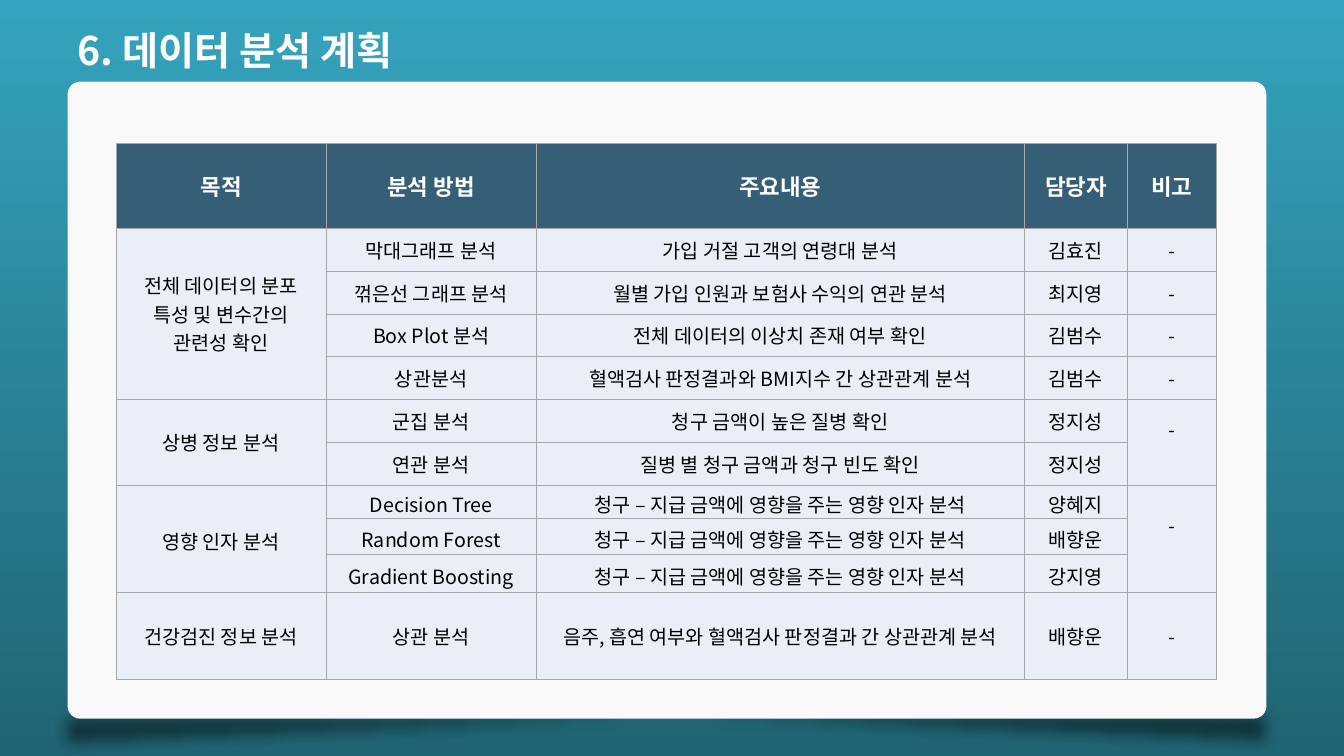
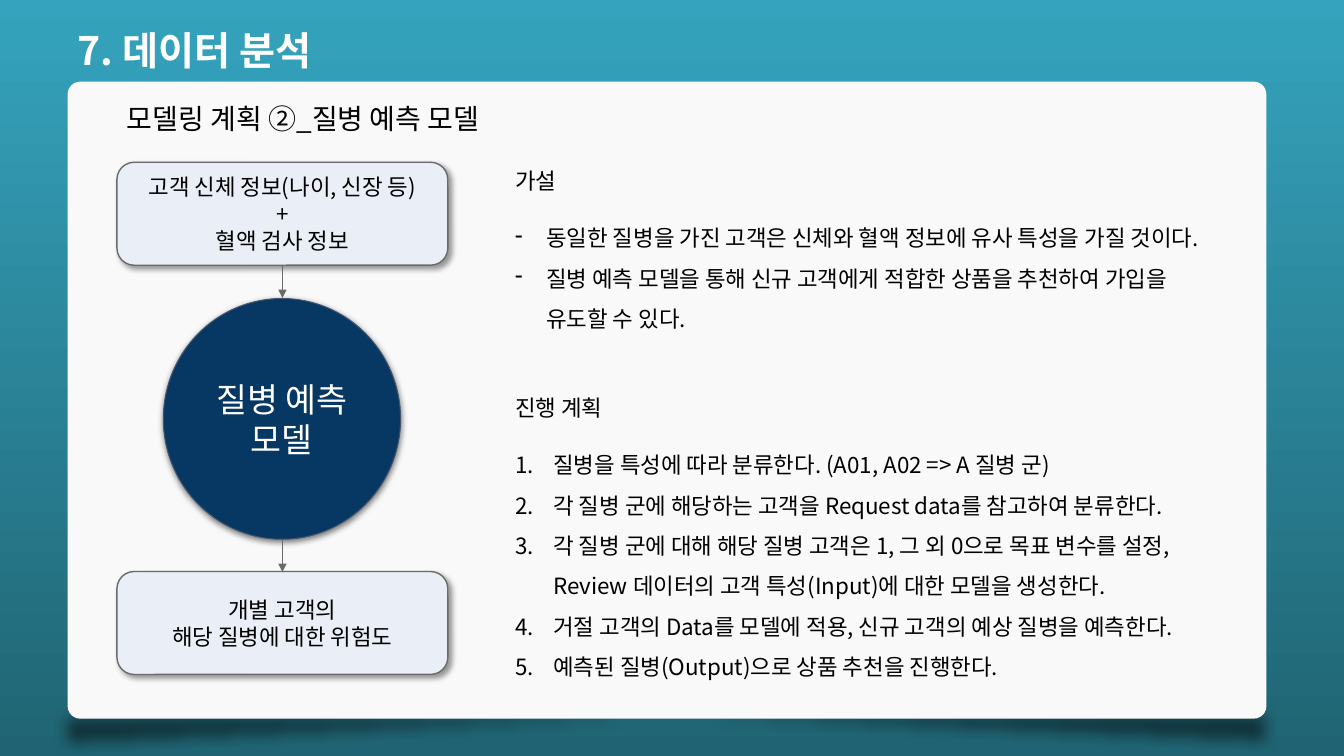
import dataclasses

import lxml.etree
import pptx
import pptx.dml.color
import pptx.enum.shapes
import pptx.enum.text
import pptx.oxml.ns
import pptx.util

Pt = pptx.util.Pt
Kind = pptx.enum.shapes.MSO_SHAPE
Align = pptx.enum.text.PP_ALIGN
Anchor = pptx.enum.text.MSO_ANCHOR
qn = pptx.oxml.ns.qn


@dataclasses.dataclass(frozen=True)
class Theme:
    font: str = "Noto Sans CJK KR"
    top: str = "35A3BD"
    base: str = "206473"
    panel: str = "F9F9F9"
    head: str = "355F77"
    pale: str = "EAEFF7"
    navy: str = "073763"
    rim: str = "44546A"
    edge: str = "6A6A6A"
    grid: str = "A6A6A6"
    white: str = "FFFFFF"
    black: str = "000000"
    title: int = 28
    hub: int = 24
    lead: int = 20
    body: int = 16
    cell: int = 14
    tight: float = 1.2
    loose: float = 1.45
    wide: float = 1.8


T = Theme()


@dataclasses.dataclass(frozen=True)
class Box:
    x: float
    y: float
    w: float
    h: float

    def sub(self, x, y, w, h):
        """Give an inner box from percentages of this one."""
        return Box(self.x + self.w * x / 100, self.y + self.h * y / 100,
                   self.w * w / 100, self.h * h / 100)

    def emu(self):
        return [pptx.util.Inches(v) for v in (self.x, self.y, self.w, self.h)]


PAGE = Box(0, 0, 13.33, 7.5)
PANEL = PAGE.sub(5.03, 10.8, 89.2, 84.27)

HEADS = ["목적", "분석 방법", "주요내용", "담당자", "비고"]
CAUSE = "청구 – 지급 금액에 영향을 주는 영향 인자 분석"
GROUPS = [
    ("전체 데이터의 분포 특성 및 변수간의 관련성 확인", False, [
        ("막대그래프 분석", "가입 거절 고객의 연령대 분석", "김효진"),
        ("꺾은선 그래프 분석", "월별 가입 인원과 보험사 수익의 연관 분석", "최지영"),
        ("Box Plot 분석", "전체 데이터의 이상치 존재 여부 확인", "김범수"),
        ("상관분석", "혈액검사 판정결과와 BMI지수 간 상관관계 분석", "김범수")]),
    ("상병 정보 분석", True, [
        ("군집 분석", "청구 금액이 높은 질병 확인", "정지성"),
        ("연관 분석", "질병 별 청구 금액과 청구 빈도 확인", "정지성")]),
    ("영향 인자 분석", True, [
        ("Decision Tree", CAUSE, "양혜지"),
        ("Random Forest", CAUSE, "배향운"),
        ("Gradient Boosting", CAUSE, "강지영")]),
    ("건강검진 정보 분석", False, [
        ("상관 분석", "음주, 흡연 여부와 혈액검사 판정결과 간 상관관계 분석", "배향운")]),
]
COLS = [210, 210, 488, 103, 89]
ROWS = [85] + [42.7] * 6 + [32, 36, 38, 86]

GUESS = [
    "동일한 질병을 가진 고객은 신체와 혈액 정보에 유사 특성을 가질 것이다.",
    "질병 예측 모델을 통해 신규 고객에게 적합한 상품을 추천하여 가입을 유도할 수 있다."]
STEPS = [
    "질병을 특성에 따라 분류한다. (A01, A02 => A 질병 군)",
    "각 질병 군에 해당하는 고객을 Request data를 참고하여 분류한다.",
    "각 질병 군에 대해 해당 질병 고객은 1, 그 외 0으로 목표 변수를 설정, "
    "Review 데이터의 고객 특성(Input)에 대한 모델을 생성한다.",
    "거절 고객의 Data를 모델에 적용, 신규 고객의 예상 질병을 예측한다.",
    "예측된 질병(Output)으로 상품 추천을 진행한다."]


def rgb(code):
    return pptx.dml.color.RGBColor.from_string(code)


def node(root, tag, **attrs):
    item = lxml.etree.SubElement(root, qn(tag))
    for key, val in attrs.items():
        item.set(key, str(val))
    return item


def paint(item, color):
    item.fill.solid()
    item.fill.fore_color.rgb = rgb(color)


def write(frame, lines, size, color=T.black, bold=False, align=Align.LEFT,
          pitch=T.tight):
    frame.word_wrap = True
    frame.text = "\n".join(lines)
    for para in frame.paragraphs:
        para.alignment = align
        para.line_spacing = Pt(round(size * pitch, 1))
        for run in para.runs:
            font = run.font
            font.name, font.size, font.bold = T.font, Pt(size), bold
            font.color.rgb = rgb(color)
            node(font._element, "a:ea", typeface=T.font)


def label(slide, box, lines, size, **style):
    frame = slide.shapes.add_textbox(*box.emu()).text_frame
    write(frame, lines, size, **style)
    return frame


def shape(slide, box, kind, fill, line=None, width=1):
    item = slide.shapes.add_shape(kind, *box.emu())
    item.shadow.inherit = False
    paint(item, fill)
    if line:
        item.line.color.rgb = rgb(line)
        item.line.width = Pt(width)
    else:
        item.line.fill.background()
    return item


def shade(item, alpha, blur, dist, turn):
    """Give a shape an outer shadow."""
    root = item.element.spPr.find(qn("a:effectLst"))
    drop = node(root, "a:outerShdw", blurRad=Pt(blur), dist=Pt(dist),
                dir=turn * 60000, algn="ctr", rotWithShape=0)
    tint = node(drop, "a:srgbClr", val=T.black)
    node(tint, "a:alpha", val=alpha * 1000)


def wedge(slide, box, flips):
    """Draw one soft corner of shade below the panel."""
    item = shape(slide, box, Kind.RIGHT_TRIANGLE, T.black)
    props = item.element.spPr
    for flip in flips:
        props.get_or_add_xfrm().set(flip, "1")
    tint = props.find(qn("a:solidFill")).find(qn("a:srgbClr"))
    node(tint, "a:alpha", val=51000)
    node(props.find(qn("a:effectLst")), "a:softEdge", rad=Pt(10))


def base(deck, title):
    """Add a slide with the shared ground, panel and title."""
    slide = deck.slides.add_slide(deck.slide_layouts[6])
    fill = slide.background.fill
    fill.gradient()
    fill.gradient_angle = 270
    for stop, color in zip(fill.gradient_stops, (T.top, T.base)):
        stop.color.rgb = rgb(color)
    wedge(slide, PANEL.sub(-0.17, 97.63, 101.1, 7.91), ["flipH", "flipV"])
    wedge(slide, PANEL.sub(-1.09, 97.94, 101.1, 7.91), ["flipV"])
    panel = shape(slide, PANEL, Kind.ROUNDED_RECTANGLE, T.panel)
    panel.adjustments[0] = 0.02
    label(slide, PAGE.sub(5.03, 2.8, 56.4, 7.6), [title], T.title,
          color=T.white, bold=True)
    return slide


def dress(cell, fill):
    props = cell._tc.get_or_add_tcPr()
    for side in ("a:lnL", "a:lnR", "a:lnT", "a:lnB"):
        line = node(props, side, w=Pt(0.5))
        node(node(line, "a:solidFill"), "a:srgbClr", val=T.grid)
    paint(cell, fill)
    cell.vertical_anchor = Anchor.MIDDLE


def put(cell, text, size=T.cell, **style):
    write(cell.text_frame, [text], size, align=Align.CENTER,
          pitch=T.loose, **style)


def plan(slide, box):
    """Build the table of analyses, one group of rows per purpose."""
    grid = slide.shapes.add_table(len(ROWS), len(COLS), *box.emu()).table
    for col, share in zip(grid.columns, COLS):
        col.width = pptx.util.Inches(box.w * share / sum(COLS))
    for i, (row, share) in enumerate(zip(grid.rows, ROWS)):
        row.height = pptx.util.Inches(box.h * share / sum(ROWS))
        for cell in row.cells:
            dress(cell, T.pale if i else T.head)
            if share < 40:
                cell.margin_bottom = 0
    for j, text in enumerate(HEADS):
        put(grid.cell(0, j), text, T.body, color=T.white, bold=True)
    top = 1
    for goal, joint, items in GROUPS:
        last = top + len(items) - 1
        for i, item in enumerate(items, top):
            for j, text in enumerate(item, 1):
                put(grid.cell(i, j), text)
            if i == top or not joint:
                put(grid.cell(i, 4), "-")
        put(grid.cell(top, 0), goal)
        if last > top:
            grid.cell(top, 0).merge(grid.cell(last, 0))
        if joint:
            grid.cell(top, 4).merge(grid.cell(last, 4))
            grid.cell(top, 4).margin_bottom = pptx.util.Inches(0.32)
        top = last + 1


def arrow(slide, box):
    """Draw an arrow down the left side of the box."""
    x, y, _, h = box.emu()
    line = slide.shapes.add_connector(
        pptx.enum.shapes.MSO_CONNECTOR.STRAIGHT, x, y, x, y + h)
    line.line.color.rgb = rgb(T.edge)
    line.line.width = Pt(1)
    props = line.element.spPr
    node(props.find(qn("a:ln")), "a:tailEnd", type="triangle")
    node(props, "a:effectLst")


def flow(slide, box):
    """Stack input, model and result, joined by arrows."""
    hub = shape(slide, box.sub(14, 26.6, 71.7, 47), Kind.OVAL,
                T.navy, T.rim, 0.75)
    shade(hub, 50, 4.5, 1.5, 90)
    write(hub.text_frame, ["질병 예측", "모델"], T.hub, color=T.white,
          align=Align.CENTER)
    ends = [(0, ["고객 신체 정보(나이, 신장 등)", "+", "혈액 검사 정보"]),
            (79.9, ["개별 고객의", "해당 질병에 대한 위험도"])]
    for y, lines in ends:
        card = shape(slide, box.sub(0, y, 100, 20.1),
                     Kind.ROUNDED_RECTANGLE, T.pale, T.edge)
        shade(card, 40, 4, 3, 45)
        write(card.text_frame, lines, T.body, align=Align.CENTER)
    for y in (20.1, 73.6):
        arrow(slide, box.sub(50, y, 0, 6.4))


def notes(slide, box, head, items, indent, mark, **attrs):
    """Write a heading with a marked list below it."""
    frame = label(slide, box, [head] + items, T.body)
    first, *rest = frame.paragraphs
    first.space_after = Pt(12)
    for para in rest:
        para.line_spacing = Pt(T.body * T.wide)
        props = para._p.get_or_add_pPr()
        shift = pptx.util.Inches(indent)
        props.set("marL", str(shift))
        props.set("indent", str(-shift))
        node(props, mark, **attrs)


def model(slide, box):
    label(slide, box.sub(4.1, 2.4, 34.1, 7), ["모델링 계획 ②_질병 예측 모델"], T.lead)
    flow(slide, box.sub(4.12, 12.66, 27.6, 80.4))
    notes(slide, box.sub(36.5, 48.3, 60.6, 47), "진행 계획", STEPS, 0.38,
          "a:buAutoNum", type="arabicPeriod")
    notes(slide, box.sub(36.5, 12.7, 60.6, 27.7), "가설", GUESS, 0.31,
          "a:buChar", char="-")


def main():
    deck = pptx.Presentation()
    deck.slide_width, deck.slide_height = PAGE.emu()[2:]
    plan(base(deck, "6. 데이터 분석 계획"), PANEL.sub(4.04, 9.65, 91.8, 83.9))
    model(base(deck, "7. 데이터 분석"), PANEL)
    deck.save("out.pptx")


if __name__ == "__main__":
    main()
